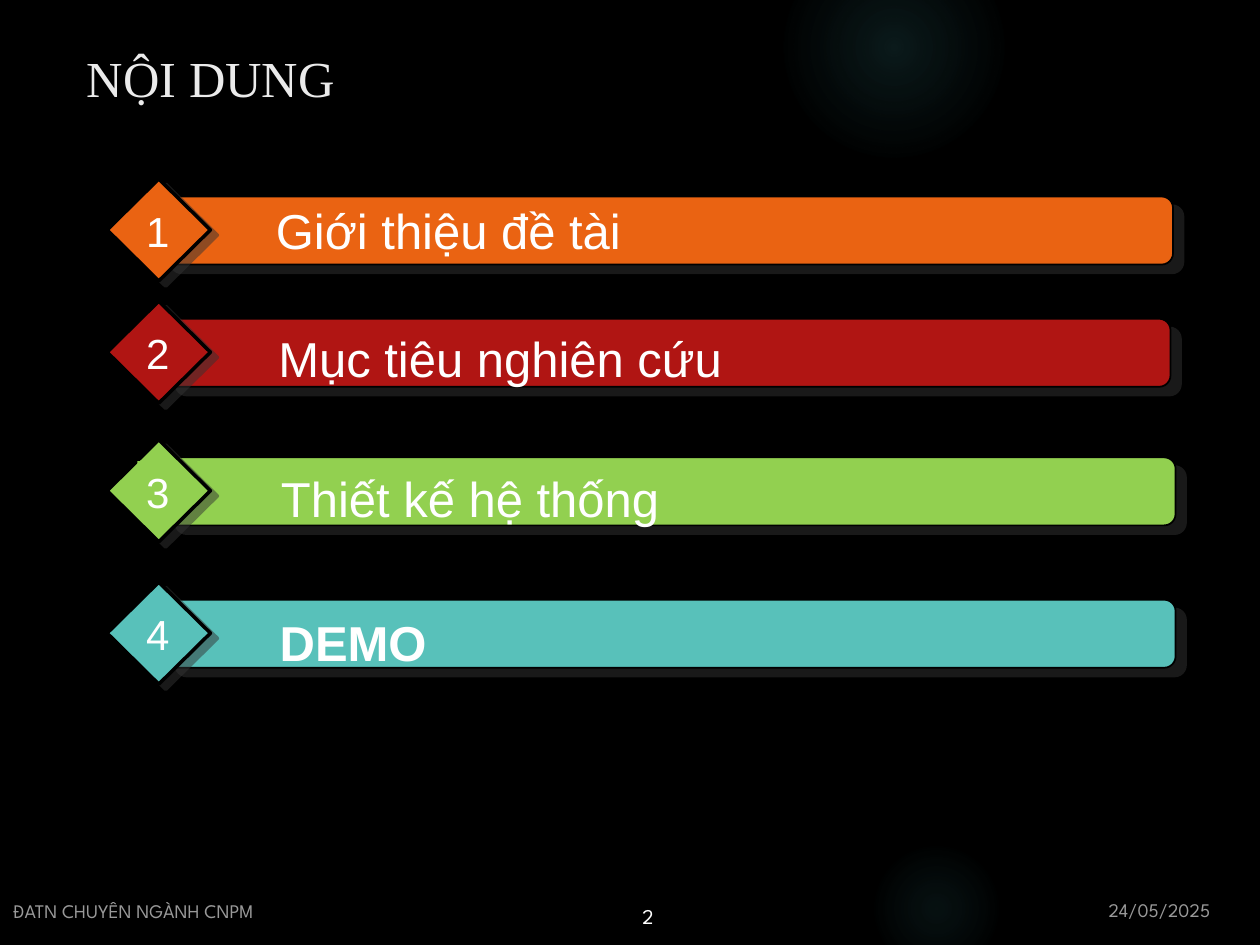
import pptx
import pptx.util
import pptx.dml.color
import pptx.enum.shapes
import pptx.enum.text
import pptx.oxml
import pptx.oxml.ns
from pptx.util import Inches

SHAPE = pptx.enum.shapes.MSO_SHAPE
ALIGN = pptx.enum.text.PP_ALIGN
ANCHOR = pptx.enum.text.MSO_ANCHOR
qn = pptx.oxml.ns.qn
NS = pptx.oxml.ns.nsdecls("a")

# number, label, colour, diamond top, bar (left, width),
# label (left, top, width, indent), bold, number background
ITEMS = [
    ("1", "Giới thiệu đề tài", "EA6312", 1.42, (1.27, 8.04),
     (0.75, 1.55, 9.25, 1.37), False, None),
    ("2", "Mục tiêu nghiên cứu", "B01513", 2.39, (1.31, 7.98),
     (1.58, 2.57, 7.83, 0.56), False, None),
    ("3", "Thiết kế hệ thống", "92D050", 3.49, (1.31, 8.02),
     (1.6, 3.68, 7.71, 0.56), False, "92D050"),
    ("4", "DEMO", "58C1BA", 4.62, (1.31, 8.02),
     (1.59, 4.82, 7.71, 0.56), True, None),
]


def rgb(value):
    return pptx.dml.color.RGBColor.from_string(value)


def set_font(p, name, size, color, bold=False):
    p.font.name = name
    p.font.size = pptx.util.Pt(size)
    p.font.color.rgb = rgb(color)
    p.font.bold = bold


def add_halo(slide, left, top, size, stops):
    """Soft radial glow; stops are (position %, opacity %)."""
    sp = slide.shapes.add_shape(SHAPE.OVAL, Inches(left), Inches(top),
                                Inches(size), Inches(size))
    sp.shadow.inherit = False
    sp.line.fill.background()
    stop_xml = "".join(
        f'<a:gs pos="{pos * 1000}"><a:srgbClr val="50B9C1">'
        f'<a:alpha val="{alpha * 1000}"/></a:srgbClr></a:gs>'
        for pos, alpha in stops)
    grad = pptx.oxml.parse_xml(
        f'<a:gradFill {NS}><a:gsLst>{stop_xml}</a:gsLst><a:path path="circle">'
        '<a:fillToRect l="50000" t="50000" r="50000" b="50000"/>'
        '</a:path></a:gradFill>')
    sp.element.spPr.find(qn("a:prstGeom")).addnext(grad)


def add_block(shapes, kind, box, color, line_width, distance, angle):
    """Filled shape with a black outline and a hard offset shadow."""
    sp = shapes.add_shape(kind, *map(Inches, box))
    sp.fill.solid()
    sp.fill.fore_color.rgb = rgb(color)
    sp.line.color.rgb = rgb("000000")
    sp.line.width = pptx.util.Pt(line_width)
    sp.shadow.inherit = False
    sp.element.spPr.find(qn("a:effectLst")).append(pptx.oxml.parse_xml(
        f'<a:outerShdw {NS} dist="{pptx.util.Pt(distance)}" '
        f'dir="{angle * 60000}" algn="ctr" rotWithShape="0">'
        '<a:srgbClr val="333333"><a:alpha val="50000"/></a:srgbClr>'
        '</a:outerShdw>'))
    return sp


def add_text(shapes, box, text, font, size, bold=False, inset=(0.1, 0.05),
             wrap=True, align=ALIGN.LEFT, anchor=ANCHOR.TOP):
    tb = shapes.add_textbox(*map(Inches, box))
    tf = tb.text_frame
    tf.word_wrap = wrap
    tf.vertical_anchor = anchor
    tf.margin_left = tf.margin_right = Inches(inset[0])
    tf.margin_top = tf.margin_bottom = Inches(inset[1])
    p = tf.paragraphs[0]
    p.text = text
    p.alignment = align
    set_font(p, font, size, "FFFFFF", bold)
    return tb


def fade_text(tb, opacity):
    for clr in tb.element.iter(qn("a:srgbClr")):
        clr.append(pptx.oxml.parse_xml(
            f'<a:alpha {NS} val="{opacity * 1000}"/>'))


def add_item(slide, number, label, color, top, bar, label_box, bold, backing):
    shapes = slide.shapes.add_group_shape().shapes
    add_block(shapes, SHAPE.ROUNDED_RECTANGLE, (bar[0], top + 0.14, bar[1], 0.54),
              color, 1, 7.8, 40)
    add_block(shapes, SHAPE.DIAMOND, (0.85, top, 0.82, 0.81), color, 2, 5, 37)

    left, label_top, width, indent = label_box
    tb = add_text(shapes, (left, label_top, width, 0.55), label, "Arial", 28,
                  bold, (0.07, 0.04), align=ALIGN.JUSTIFY)
    pPr = tb.text_frame.paragraphs[0]._p.get_or_add_pPr()
    pPr.set("marL", str(Inches(indent)))
    pPr.set("indent", "0")

    tb = add_text(shapes, (1.09, top + 0.17, 0.32, 0.45), number, "Arial", 24,
                  inset=(0.07, 0.04), wrap=False, align=ALIGN.CENTER)
    if backing:
        tb.fill.solid()
        tb.fill.fore_color.rgb = rgb(backing)


def add_title(slide, text):
    title = slide.shapes.title
    title.left, title.top, title.width, title.height = map(
        Inches, (0.59, 0.3, 8.09, 0.62))
    tf = title.text_frame
    tf.text = text
    tf.vertical_anchor = ANCHOR.MIDDLE
    p = tf.paragraphs[0]
    p.alignment = ALIGN.LEFT
    set_font(p, "Times New Roman", 28.8, "EBEBEB")


def add_footer(slide):
    font = "League Spartan"
    date = add_text(slide.shapes, (8.7, 7.08, 1.24, 0.29), "24/05/2025", font, 11)
    course = add_text(slide.shapes, (0.01, 7.12, 4.22, 0.25),
                      "ĐATN CHUYÊN NGÀNH CNPM", font, 11, anchor=ANCHOR.BOTTOM)
    for tb in (date, course):
        fade_text(tb, 60)
    add_text(slide.shapes, (5, 7.12, 0.56, 0.29), "2", font, 12)


def main():
    prs = pptx.Presentation()
    prs.slide_width, prs.slide_height = Inches(10), Inches(7.5)
    slide = prs.slides.add_slide(prs.slide_layouts[5])
    slide.background.fill.solid()
    slide.background.fill.fore_color.rgb = rgb("000000")

    # Background glows
    add_halo(slide, 6.22, -0.5, 1.75, [(0, 14), (36, 7), (73, 0)])
    add_halo(slide, 6.89, 6.67, 1.08, [(0, 9), (36, 5), (66, 0)])

    # Title, agenda and footer
    add_title(slide, "NỘI DUNG")
    for item in ITEMS:
        add_item(slide, *item)
    add_footer(slide)
    prs.save("out.pptx")


if __name__ == "__main__":
    main()
